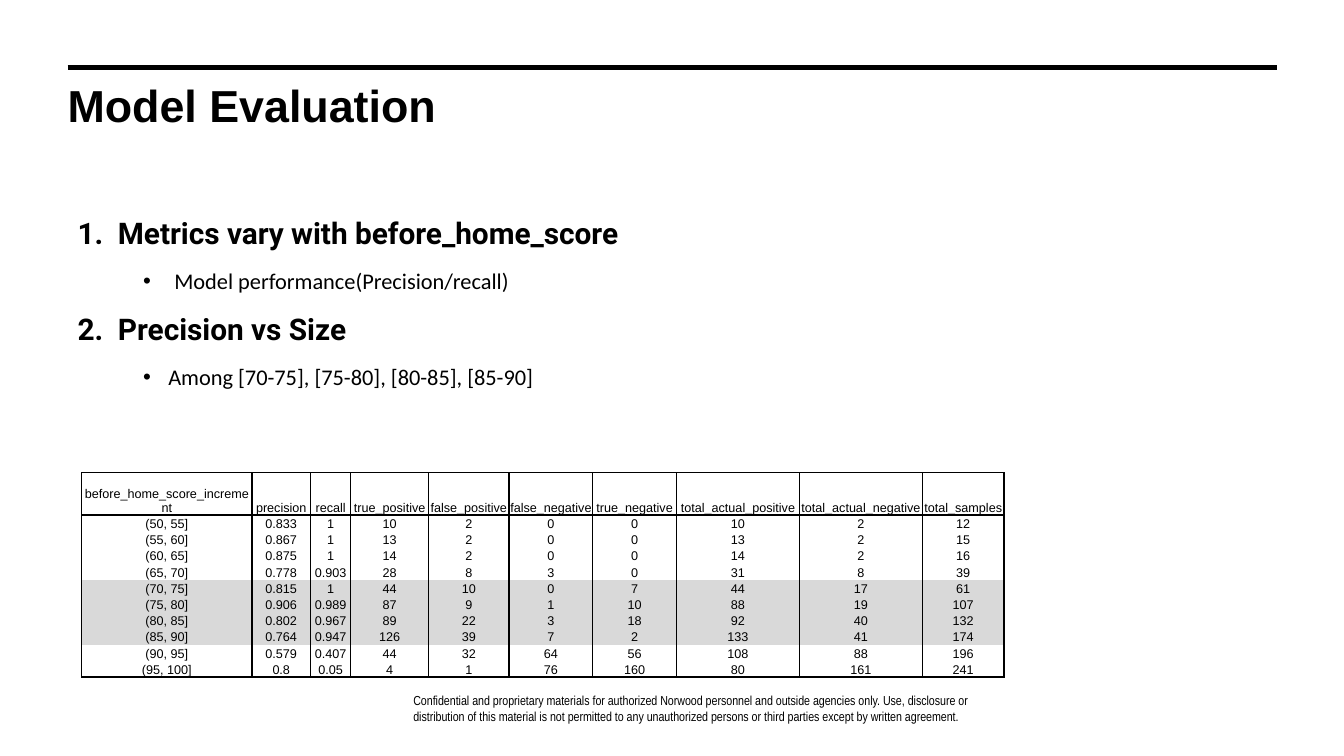
from lxml import etree
from pptx import Presentation
from pptx import util as u
from pptx.dml.color import RGBColor
from pptx.enum import shapes, text
from pptx.oxml import ns

BLACK, GREY = "000000", "D9D9D9"
TITLE = "Model Evaluation"
FOOTER = (
    "Confidential and proprietary materials for authorized Norwood personnel and "
    "outside agencies only. Use, disclosure or distribution of this material is not "
    "permitted to any unauthorized persons or third parties except by written agreement."
)
# wording, level, left margin, hanging indent
OUTLINE = [
    ("Metrics vary with before_home_score", 0, 0.5, 0.4),
    ("Model performance(Precision/recall)", 1, 1.06, 0.31),
    ("Precision vs Size", 0, 0.5, 0.4),
    ("Among [70-75], [75-80], [80-85], [85-90]", 1, 1, 0.25),
]
LEVEL_FONTS = [("Roboto", 21.3, True), ("Calibri", 16, False)]
# heading, column width
COLUMNS = [
    ("before_home_score_increment", 1.69), ("precision", 0.58), ("recall", 0.4),
    ("true_positive", 0.77), ("false_positive", 0.8), ("false_negative", 0.83),
    ("true_negative", 0.83), ("total_actual_positive", 1.22),
    ("total_actual_negative", 1.22), ("total_samples", 0.81),
]
SCORES = [
    ("(50, 55]", 0.833, 1, 10, 2, 0, 0, 10, 2, 12),
    ("(55, 60]", 0.867, 1, 13, 2, 0, 0, 13, 2, 15),
    ("(60, 65]", 0.875, 1, 14, 2, 0, 0, 14, 2, 16),
    ("(65, 70]", 0.778, 0.903, 28, 8, 3, 0, 31, 8, 39),
    ("(70, 75]", 0.815, 1, 44, 10, 0, 7, 44, 17, 61),
    ("(75, 80]", 0.906, 0.989, 87, 9, 1, 10, 88, 19, 107),
    ("(80, 85]", 0.802, 0.967, 89, 22, 3, 18, 92, 40, 132),
    ("(85, 90]", 0.764, 0.947, 126, 39, 7, 2, 133, 41, 174),
    ("(90, 95]", 0.579, 0.407, 44, 32, 64, 56, 108, 88, 196),
    ("(95, 100]", 0.8, 0.05, 4, 1, 76, 160, 80, 161, 241),
]
SHADED_ROWS = range(5, 9)
HEADER_HEIGHT, ROW_HEIGHT = 0.42, 0.16


def color(value):
    return RGBColor.from_string(value)


def add_xml(parent, tag, **attributes):
    return etree.SubElement(parent, ns.qn(tag), attributes)


def add_span(para, wording, font, size, bold=False):
    span = para.add_run()
    span.text = wording
    span.font.name, span.font.size, span.font.bold = font, u.Pt(size), bold
    span.font.color.rgb = color(BLACK)


def add_frame(page, left, top, width, height, right_inset=0):
    box = page.shapes.add_textbox(*map(u.Inches, (left, top, width, height)))
    frame = box.text_frame
    frame.word_wrap = True
    frame.margin_left = frame.margin_top = frame.margin_bottom = 0
    frame.margin_right = u.Inches(right_inset)
    return frame


def add_outline(page):
    frame = add_frame(page, 0.67, 2.13, 10.33, 4.4)
    for index, (wording, level, margin, hanging) in enumerate(OUTLINE):
        para = frame.add_paragraph() if index else frame.paragraphs[0]
        para.level = level
        para.space_before = u.Pt(12)
        props = para._p.get_or_add_pPr()
        props.set("marL", str(u.Inches(margin)))
        props.set("indent", str(-u.Inches(hanging)))
        add_xml(add_xml(props, "a:buClr"), "a:srgbClr", val=BLACK)
        if level:
            add_xml(props, "a:buFont", typeface="Arial")
            add_xml(props, "a:buChar", char="•")
        else:
            add_xml(props, "a:buAutoNum", type="arabicPeriod")
        add_span(para, wording, *LEVEL_FONTS[level])


def set_borders(cell, visible):
    """Draw the sides named in visible (L, R, T, B) and clear the others."""
    props = cell._tc.get_or_add_tcPr()
    for side in "LRTB":
        line = add_xml(props, f"a:ln{side}", w=str(u.Pt(1)))
        if side in visible:
            add_xml(add_xml(line, "a:solidFill"), "a:srgbClr", val=BLACK)
        else:
            add_xml(line, "a:noFill")


def add_score_table(page):
    rows = [[heading for heading, _ in COLUMNS], *SCORES]
    width = sum(column_width for _, column_width in COLUMNS)
    height = HEADER_HEIGHT + ROW_HEIGHT * len(SCORES)
    table = page.shapes.add_table(
        len(rows), len(COLUMNS), *map(u.Inches, (0.81, 4.69, width, height))
    ).table
    table.first_row = table.horz_banding = False
    for column, (_, column_width) in zip(table.columns, COLUMNS):
        column.width = u.Inches(column_width)
    for r, values in enumerate(rows):
        table.rows[r].height = u.Inches(ROW_HEIGHT if r else HEADER_HEIGHT)
        top = "T" if r < 2 else ""
        bottom = "B" if r in (0, len(SCORES)) else ""
        for c, value in enumerate(values):
            cell = table.cell(r, c)
            cell.margin_left = cell.margin_right = cell.margin_top = u.Inches(0.01)
            cell.margin_bottom = 0
            cell.vertical_anchor = text.MSO_ANCHOR.BOTTOM
            set_borders(cell, "LR" + top + bottom)
            if r in SHADED_ROWS:
                cell.fill.solid()
                cell.fill.fore_color.rgb = color(GREY)
            else:
                cell.fill.background()
            para = cell.text_frame.paragraphs[0]
            para.alignment = text.PP_ALIGN.CENTER
            add_span(para, str(value), "Arial", 9)


def main():
    deck = Presentation()
    deck.slide_width, deck.slide_height = u.Inches(13.33), u.Inches(7.5)
    page = deck.slides.add_slide(deck.slide_layouts[6])

    footer = add_frame(page, 4.1, 6.85, 5.87, 0.33, right_inset=0.27)
    footer.vertical_anchor = text.MSO_ANCHOR.BOTTOM
    add_span(footer.paragraphs[0], FOOTER, "Arial Narrow", 9.3)

    rule = page.shapes.add_connector(
        shapes.MSO_CONNECTOR.STRAIGHT, *map(u.Inches, (0.67, 0.67, 12.67, 0.67))
    )
    rule.line.color.rgb = color(BLACK)
    rule.line.width = u.Pt(3.75)
    add_xml(rule._element.spPr, "a:effectLst")

    title = add_frame(page, 0.67, 0.87, 10.33, 1).paragraphs[0]
    title.line_spacing = 0.8
    add_span(title, TITLE, "Arial", 32, True)

    add_outline(page)
    add_score_table(page)
    deck.save("out.pptx")


if __name__ == "__main__":
    main()
